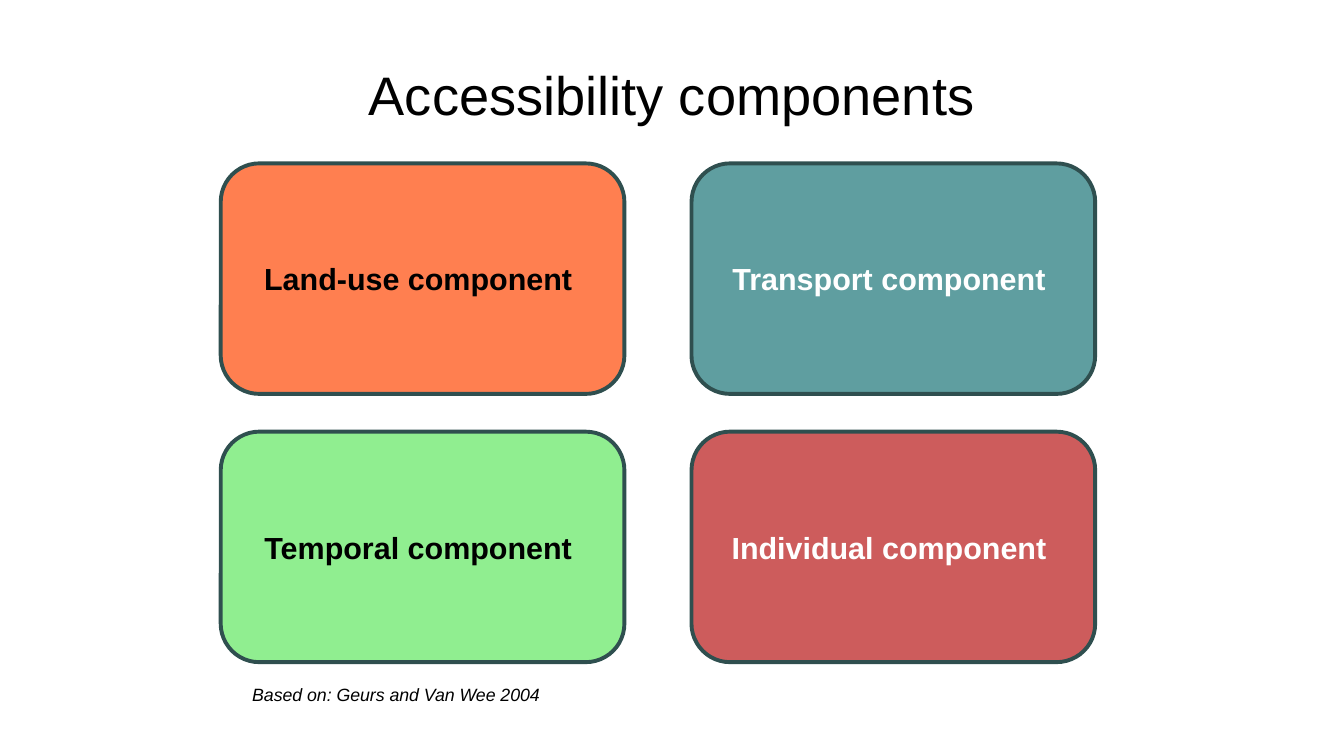
import pptx
import pptx.util
import pptx.dml.color
import pptx.enum.shapes
import pptx.enum.text

WIDE, HIGH = 11.02, 6.2
FONT = "Arial"
HUES = {
    "coral": "FF7F50",
    "teal": "5F9EA0",
    "green": "90EE90",
    "red": "CD5C5C",
    "edge": "2F4F4F",
    "black": "000000",
    "white": "FFFFFF",
}
# Card label, fill and text colour, row by row
CARDS = [
    ("Land-use component ", "coral", "black"),
    ("Transport component ", "teal", "white"),
    ("Temporal component ", "green", "black"),
    ("Individual component ", "red", "white"),
]
COLS = 2
GAP_X, GAP_Y = 0.55, 0.31


def tint(name):
    return pptx.dml.color.RGBColor.from_string(HUES[name])


def write(frame, text, size, hue="black", bold=False, slant=False,
          align="LEFT", anchor="TOP", pads=(0, 0), wrap=True):
    """Set the frame's layout and add one run of text."""
    frame.word_wrap = wrap
    frame.vertical_anchor = getattr(pptx.enum.text.MSO_ANCHOR, anchor)
    frame.margin_left = frame.margin_right = pptx.util.Inches(pads[0])
    frame.margin_top = frame.margin_bottom = pptx.util.Inches(pads[1])
    line = frame.paragraphs[0]
    line.alignment = getattr(pptx.enum.text.PP_ALIGN, align)
    run = line.add_run()
    run.text = text
    font = run.font
    font.name, font.size = FONT, pptx.util.Pt(size)
    font.bold, font.italic = bold, slant
    font.color.rgb = tint(hue)


def label(slide, box, text, size, **style):
    """Place a text box."""
    area = slide.shapes.add_textbox(*map(pptx.util.Inches, box))
    write(area.text_frame, text, size, **style)


def card(slide, box, text, fill, hue):
    """Place one rounded card with its label."""
    kind = pptx.enum.shapes.MSO_SHAPE.ROUNDED_RECTANGLE
    shape = slide.shapes.add_shape(kind, *map(pptx.util.Inches, box))
    shape.shadow.inherit = False
    shape.adjustments[0] = 0.167
    shape.fill.solid()
    shape.fill.fore_color.rgb = tint(fill)
    shape.line.color.rgb = tint("edge")
    shape.line.width = pptx.util.Pt(2.3)
    write(shape.text_frame, text, 18, hue, bold=True, align="CENTER",
          anchor="MIDDLE", pads=(0.11, 0.06), wrap=False)


def grid(slide, box):
    """Fill the box with equal cards."""
    left, top, width, height = box
    rows = len(CARDS) // COLS
    wide = (width - GAP_X * (COLS - 1)) / COLS
    high = (height - GAP_Y * (rows - 1)) / rows
    for i, (text, fill, hue) in enumerate(CARDS):
        row, col = divmod(i, COLS)
        place = (left + col * (wide + GAP_X), top + row * (high + GAP_Y),
                 wide, high)
        card(slide, place, text, fill, hue)


def main():
    deck = pptx.Presentation()
    deck.slide_width = pptx.util.Inches(WIDE)
    deck.slide_height = pptx.util.Inches(HIGH)
    slide = deck.slides.add_slide(deck.slide_layouts[6])

    # Title across the slide
    label(slide, (0.05 * WIDE, 0.25, 0.9 * WIDE, 1.04),
          "Accessibility components", 32, align="CENTER", anchor="MIDDLE")
    # Four components
    grid(slide, (1.81, 1.34, 7.17, 4.09))
    # Source line
    label(slide, (1.97, 5.56, 2.6, 0.26), "Based on: Geurs and Van Wee 2004",
          10.5, slant=True, pads=(0.1, 0.05), wrap=False)

    deck.save("out.pptx")


if __name__ == "__main__":
    main()
